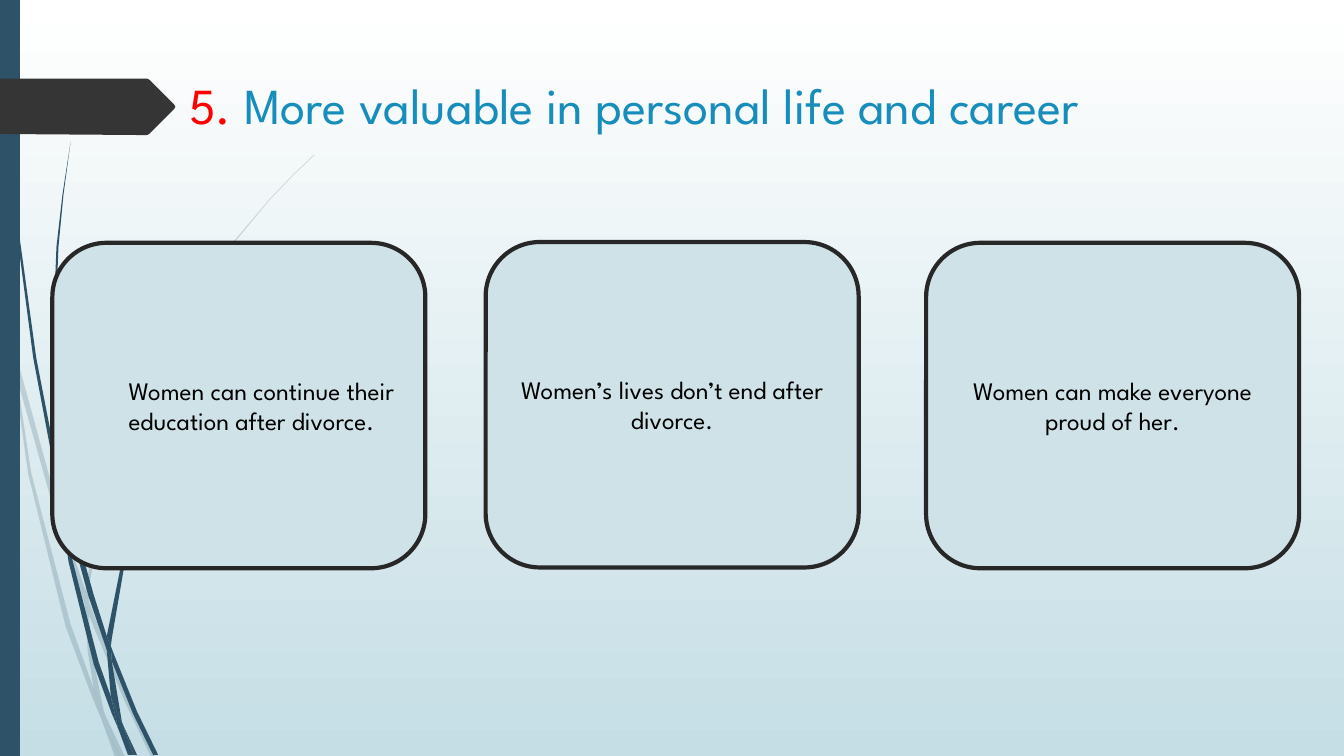
from dataclasses import dataclass

from lxml import etree
from pptx import Presentation
from pptx.dml.color import RGBColor
from pptx.enum.shapes import MSO_SHAPE
from pptx.enum.text import MSO_ANCHOR, PP_ALIGN
from pptx.oxml.ns import qn
from pptx.util import Cm, Pt

ROUNDED = MSO_SHAPE.ROUNDED_RECTANGLE
RECTANGLE = MSO_SHAPE.RECTANGLE
TOP, MIDDLE = MSO_ANCHOR.TOP, MSO_ANCHOR.MIDDLE
LEFT, CENTER = PP_ALIGN.LEFT, PP_ALIGN.CENTER


@dataclass(frozen=True)
class Theme:
    font: str = "League Spartan"
    title_size: int = 36
    body_size: int = 18
    outline_width: int = 3
    pale_alpha: int = 20
    sky: str = "FFFFFF"
    horizon: str = "C5DEE5"
    navy: str = "2E5369"
    charcoal: str = "353535"
    number: str = "FF0000"
    title: str = "178DBB"
    card: str = "CFE2E7"
    outline: str = "272727"
    ink: str = "000000"


THEME = Theme()

TITLE_RUNS = [
    ("5.", THEME.number),
    (" More valuable in personal life and career", THEME.title),
]

CARDS = [
    ("Women can continue their education after divorce.", 1.32, 6.12, LEFT, 1.27),
    ("Women’s lives don’t end after divorce.", 12.24, 6.1, CENTER, 0),
    ("Women can make everyone proud of her.", 23.34, 6.12, CENTER, 0),
]
CARD_WIDTH, CARD_HEIGHT = 9.4, 8.2

GRID = Cm(2.54) / 100

PALE_STEMS = [
    [(11, 350), (9, 322), (0, 282), (0, 299), (10, 344)],
    [(58, 522), (84, 599), (85, 586), (62, 520), (14, 345), (17, 376)],
    [(92, 607), (88, 596), (88, 610), (123, 694), (150, 751), (155, 751), (127, 692)],
    [(119, 751), (124, 751), (105, 711)],
    [(93, 683), (70, 619), (31, 469), (17, 376), (11, 350), (28, 470), (65, 621),
     (92, 693), (101, 714), (99, 707)],
    [(84, 599), (87, 646), (93, 683), (96, 692), (105, 711), (103, 706), (91, 646),
     (88, 610), (88, 608)],
    [(88, 584), (110, 462), (160, 349), (229, 245), (268, 198), (290, 175), (312, 154),
     (312, 153), (289, 175), (268, 197), (228, 244), (158, 348), (107, 461), (85, 584),
     (85, 586), (88, 596)],
    [(101, 714), (114, 751), (119, 751)],
    [(88, 608), (88, 610), (88, 596), (85, 586), (84, 599)],
    [(96, 692), (93, 683), (99, 707), (101, 714), (119, 751), (105, 711)],
]

DARK_STEMS = [
    [(7, 110), (17, 233), (33, 355), (56, 477), (57, 481), (55, 457), (55, 453),
     (36, 355), (19, 232), (8, 109), (5, 48), (4, 0), (3, 0), (4, 48)],
    [(88, 592), (106, 645), (106, 633), (106, 631), (93, 590), (60, 472), (64, 505)],
    [(113, 649), (110, 641), (111, 656), (132, 708), (152, 749), (157, 749), (136, 706)],
    [(110, 691), (98, 657), (72, 556), (64, 505), (57, 477), (68, 557), (93, 659),
     (111, 708), (117, 722), (116, 717)],
    [(60, 472), (58, 453), (54, 349), (58, 245), (63, 193), (70, 141), (62, 193),
     (56, 245), (52, 349), (55, 449)],
    [(133, 749), (136, 749), (122, 719)],
    [(111, 633), (125, 552), (158, 476), (205, 406), (231, 374), (245, 359), (261, 344),
     (260, 344), (245, 358), (231, 373), (204, 405), (156, 474), (122, 551), (106, 631),
     (110, 641)],
    [(117, 722), (127, 749), (131, 749)],
    [(106, 645), (110, 691), (116, 706), (122, 719), (121, 716), (111, 656), (109, 651)],
    [(106, 645), (109, 651), (111, 656), (110, 641), (106, 631), (106, 633)],
    [(116, 706), (110, 691), (116, 717), (117, 722), (130, 749), (133, 749), (122, 719)],
]

ARROW = [(0, 78), (146, 78), (148, 79), (173, 104), (174, 106), (173, 108), (148, 133),
         (146, 134), (136, 134), (0, 133)]


def paint(shape, color, alpha=None):
    shape.shadow.inherit = False
    shape.fill.solid()
    shape.fill.fore_color.rgb = RGBColor.from_string(color)
    shape.line.fill.background()
    if alpha is not None:
        color_element = next(shape.fill._xPr.iter(qn("a:srgbClr")))
        etree.SubElement(color_element, qn("a:alpha"), val=str(alpha * 1000))


def format_run(run, size, color):
    run.font.name = THEME.font
    run.font.size = Pt(size)
    run.font.color.rgb = RGBColor.from_string(color)


def add_outline(shapes, points, color, alpha=None):
    builder = shapes.build_freeform(*points[0], scale=GRID)
    builder.add_line_segments(points[1:], close=True)
    paint(builder.convert_to_shape(), color, alpha)


def add_background(slide):
    fill = slide.background.fill
    fill.gradient()
    fill.gradient_angle = 270
    for stop, color in zip(fill.gradient_stops, (THEME.sky, THEME.horizon)):
        stop.color.rgb = RGBColor.from_string(color)


def add_decoration(slide, height):
    for stems, alpha in ((PALE_STEMS, THEME.pale_alpha), (DARK_STEMS, None)):
        group = slide.shapes.add_group_shape()
        for stem in stems:
            add_outline(group.shapes, stem, THEME.navy, alpha)
    side_bar = slide.shapes.add_shape(RECTANGLE, 0, 0, Cm(0.5), height)
    paint(side_bar, THEME.navy)
    add_outline(slide.shapes, ARROW, THEME.charcoal)


def fill_title(slide):
    title = slide.shapes.title
    title.left, title.top = Cm(4.52), Cm(1.73)
    title.width, title.height = Cm(27.43), Cm(2.39)
    title.text_frame.vertical_anchor = TOP
    paragraph = title.text_frame.paragraphs[0]
    paragraph.alignment = LEFT
    for text, color in TITLE_RUNS:
        run = paragraph.add_run()
        run.text = text
        format_run(run, THEME.title_size, color)


def add_card(slide, text, left, top, alignment, indent):
    card = slide.shapes.add_shape(
        ROUNDED, Cm(left), Cm(top), Cm(CARD_WIDTH), Cm(CARD_HEIGHT))
    paint(card, THEME.card)
    card.line.color.rgb = RGBColor.from_string(THEME.outline)
    card.line.width = Pt(THEME.outline_width)
    card.text_frame.word_wrap = True
    card.text_frame.vertical_anchor = MIDDLE
    paragraph = card.text_frame.paragraphs[0]
    paragraph.text = text
    paragraph.alignment = alignment
    paragraph._p.get_or_add_pPr().set("marL", str(Cm(indent)))
    format_run(paragraph.runs[0], THEME.body_size, THEME.ink)


def main():
    presentation = Presentation()
    presentation.slide_width, presentation.slide_height = Cm(33.87), Cm(19.05)
    slide = presentation.slides.add_slide(presentation.slide_layouts[5])
    add_background(slide)
    add_decoration(slide, presentation.slide_height)
    fill_title(slide)
    for card in CARDS:
        add_card(slide, *card)
    presentation.save("out.pptx")


if __name__ == "__main__":
    main()
